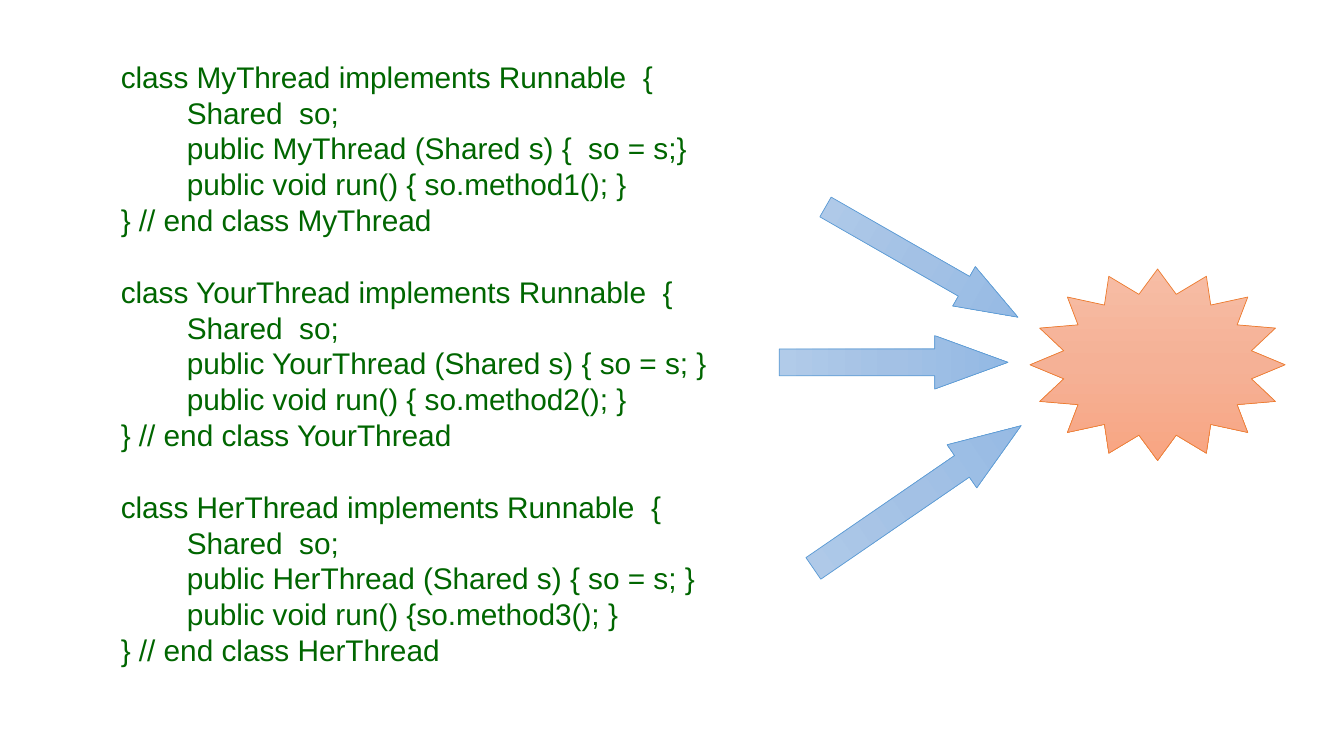
from copy import deepcopy
from pptx import Presentation
from pptx.dml.color import RGBColor
from pptx.enum.shapes import MSO_SHAPE
from pptx.util import Pt

# Content: one block of code per thread class
CODE = [
    [
        "class MyThread implements Runnable  {",
        "        Shared  so;",
        "        public MyThread (Shared s) {  so = s;}",
        "        public void run() { so.method1(); }",
        "} // end class MyThread",
    ],
    [
        "class YourThread implements Runnable  {",
        "        Shared  so;",
        "        public YourThread (Shared s) { so = s; }",
        "        public void run() { so.method2(); }",
        "} // end class YourThread",
    ],
    [
        "class HerThread implements Runnable  {",
        "        Shared  so;",
        "        public HerThread (Shared s) { so = s; }",
        "        public void run() {so.method3(); }",
        "} // end class HerThread",
    ],
]
GREEN = "006600"
BLUE = ("B1CBE9", "A3C1E5", "93B9E4"), "5B9BD5"
ORANGE = ("F7BDA5", "F5B196", "F8A582"), "ED7D31"
PITCH = 25.6

# Left, top, width, height, rotation, head length
ARROWS = [
    (642.2, 108, 32.4, 158.4, 299.8, 1.37),
    (619.2, 177.1, 38.2, 163.4, 270, 1.37),
    (636.5, 265, 37.4, 180, 235.5, 1.37),
]
STAR = (735.8, 192.2, 182.2, 136.8)


def color(code):
    return RGBColor.from_string(code)


def add_form(kind, box, paint, adjust):
    """Add a preset shape with a three-stop gradient and a thin line."""
    shades, edge = paint
    form = slide.shapes.add_shape(kind, *map(Pt, box))
    form.shadow.inherit = False
    for i, value in enumerate(adjust):
        form.adjustments[i] = value
    form.fill.gradient()
    form.fill.gradient_angle = 270
    first = form.fill.gradient_stops[0]._gs
    first.addnext(deepcopy(first))
    for stop, place, shade in zip(form.fill.gradient_stops, (0, 0.5, 1), shades):
        stop.position = place
        stop.color.rgb = color(shade)
    form.line.color.rgb = color(edge)
    form.line.width = Pt(0.5)
    return form


deck = Presentation()
deck.slide_width, deck.slide_height = Pt(960), Pt(540)
slide = deck.slides.add_slide(deck.slide_layouts[6])

# Code listing, with one line of space between the classes
frame = slide.shapes.add_textbox(Pt(43.2), Pt(38.2), Pt(872), Pt(446.4)).text_frame
frame.word_wrap = True
para = frame.paragraphs[0]
for b, block in enumerate(CODE):
    for n, line in enumerate(block):
        if b or n:
            para = frame.add_paragraph()
        para.text = line
        para.line_spacing = Pt(PITCH)
        if b and n == 0:
            para.space_before = Pt(PITCH)
        para._p.get_or_add_pPr().set("marL", str(Pt(36)))
        para.font.name = "Arial"
        para.font.size = Pt(21.3)
        para.font.color.rgb = color(GREEN)

# Shared object, and an arrow to it from each class
add_form(MSO_SHAPE.STAR_16_POINT, STAR, ORANGE, [0.375])
for *box, turn, head in ARROWS:
    add_form(MSO_SHAPE.DOWN_ARROW, box, BLUE, [0.5, head]).rotation = turn

deck.save("out.pptx")
